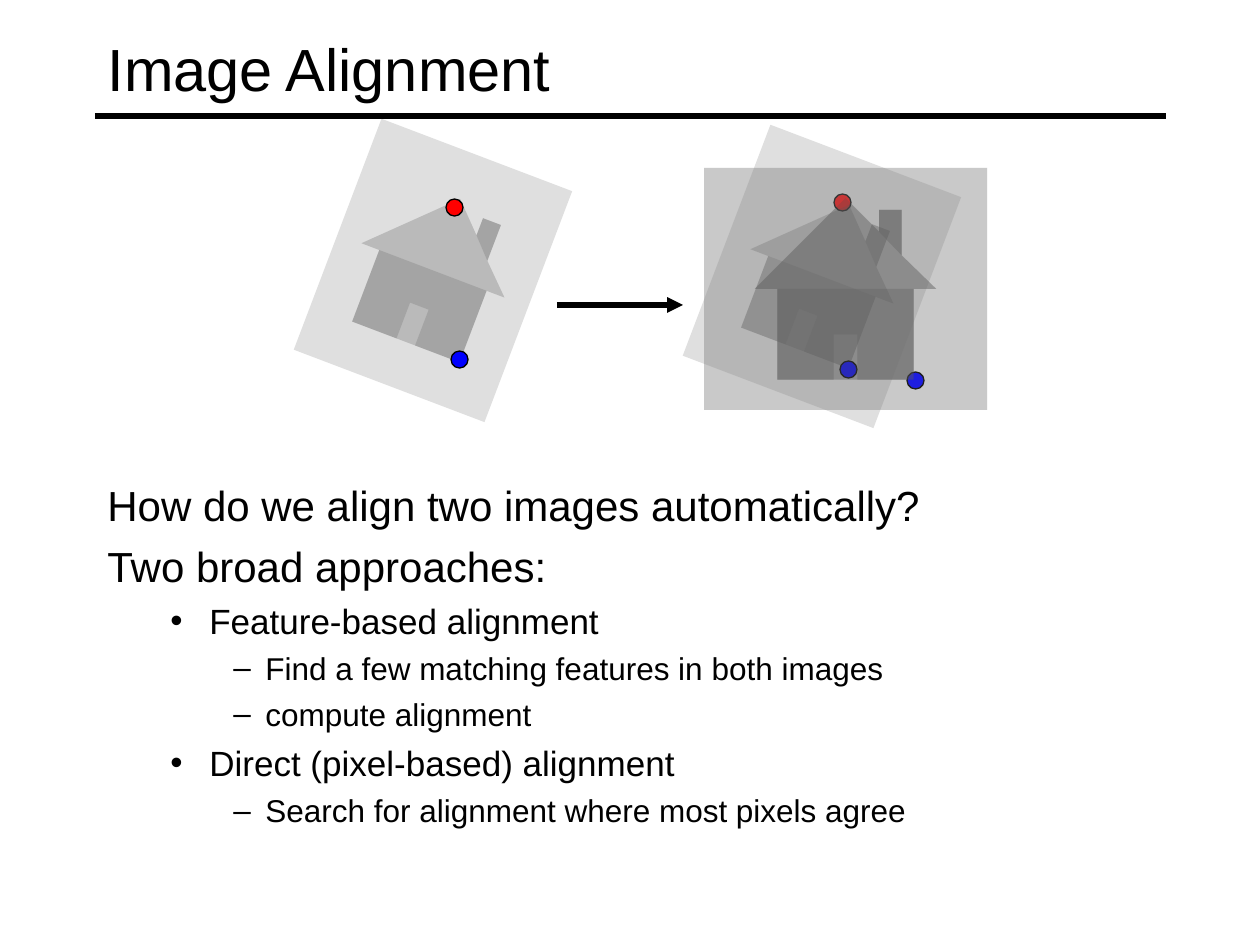
from copy import deepcopy
from dataclasses import dataclass

from lxml.etree import SubElement
from pptx import Presentation
from pptx.dml.color import RGBColor
from pptx.enum.shapes import MSO_CONNECTOR as Connector, MSO_SHAPE as Shape
from pptx.enum.text import MSO_ANCHOR as Anchor, MSO_AUTO_SIZE as AutoSize, PP_ALIGN as Align
from pptx.oxml.ns import qn
from pptx.util import Emu, Pt

PX_PER_INCH = 126
EMU_PER_PX = 914400 / PX_PER_INCH


@dataclass(frozen=True)
class Theme:
    font: str = "Arial"
    ink: str = "000000"
    house: str = "808080"
    red: str = "FF0000"
    blue: str = "0000FF"
    title_size: int = 34
    body_sizes: tuple = (24, 20, 18)
    body_gaps: tuple = (6, 5, 4.5)


THEME = Theme()

# Per level: left margin, hanging indent (px) and bullet
LEVELS = [(48, 48, None), (102, 39, "•"), (158, 32, "–")]
BODY = [
    (0, "How do we align two images automatically?"),
    (0, "Two broad approaches:"),
    (1, "Feature-based alignment"),
    (2, "Find a few matching features in both images"),
    (2, "compute alignment"),
    (1, "Direct (pixel-based) alignment"),
    (2, "Search for alignment where most pixels agree"),
]

# House outlines around its centre, in half-widths of the house, with shading
CHIMNEY = [(0.37, -0.63), (0.37, -0.87), (0.62, -0.87), (0.62, -0.37)]
HOUSE_PARTS = [
    ("darken", [(0, -1), *CHIMNEY, (1, 0), (0.75, 0), (0.75, 1),
                (-0.75, 1), (-0.75, 0), (-1, 0)]),
    ("darkenLess", CHIMNEY),
    ("darkenLess", [(-0.13, 0.5), (0.13, 0.5), (0.13, 1), (0.75, 1), (0.75, 0),
                    (-0.75, 0), (-0.75, 1), (-0.13, 1)]),
]
HOUSE_RATIO = 3 / 8  # house half-width relative to the shorter side


def px(value):
    return Emu(round(value * EMU_PER_PX))


def color(value):
    return RGBColor.from_string(value)


def write(paragraph, text, *, size, level=0, margin=0, hanging=0, bullet=None, before=0):
    """Fill a paragraph and format it."""
    paragraph.alignment = Align.LEFT
    paragraph.level = level
    paragraph.space_before = Pt(before)
    properties = paragraph._p.get_or_add_pPr()
    properties.set("marL", str(px(margin)))
    properties.set("indent", str(-px(hanging)))
    if bullet:
        bullet_color = SubElement(properties, qn("a:buClr"))
        SubElement(bullet_color, qn("a:srgbClr"), val=THEME.ink)
        SubElement(properties, qn("a:buFont"), typeface=THEME.font)
        SubElement(properties, qn("a:buChar"), char=bullet)
    else:
        SubElement(properties, qn("a:buNone"))
    run = paragraph.add_run()
    run.text = text
    run.font.name = THEME.font
    run.font.size = Pt(size)
    run.font.color.rgb = color(THEME.ink)


def add_title(slide, text, left, top, width, height):
    title = slide.shapes.title
    title.left, title.top, title.width, title.height = map(px, (left, top, width, height))
    frame = title.text_frame
    frame.auto_size = AutoSize.NONE
    frame.vertical_anchor = Anchor.MIDDLE
    write(frame.paragraphs[0], text, size=THEME.title_size)


def add_outline(slide, lines, left, top, width, height):
    frame = slide.shapes.add_textbox(*map(px, (left, top, width, height))).text_frame
    frame.word_wrap = True
    for index, (level, text) in enumerate(lines):
        paragraph = frame.add_paragraph() if index else frame.paragraphs[0]
        margin, hanging, bullet = LEVELS[level]
        write(paragraph, text, size=THEME.body_sizes[level], level=level, margin=margin,
              hanging=hanging, bullet=bullet,
              before=THEME.body_gaps[level] if index else 0)


def add_line(slide, start, end, arrow=False):
    line = slide.shapes.add_connector(Connector.STRAIGHT, *map(px, (*start, *end)))
    line.line.color.rgb = color(THEME.ink)
    line.line.width = Pt(3)
    if arrow:
        SubElement(line.element.find(".//" + qn("a:ln")), qn("a:tailEnd"), type="triangle")
    SubElement(line.element.spPr, qn("a:effectLst"))


def add_dot(slide, left, top, fill):
    dot = slide.shapes.add_shape(Shape.OVAL, *map(px, (left, top, 17, 17)))
    dot.shadow.inherit = False
    dot.fill.solid()
    dot.fill.fore_color.rgb = color(fill)
    dot.line.color.rgb = color(THEME.ink)
    dot.line.width = Pt(0.75)


def shade_contours(shape, shades):
    """Give each contour of a freeform its own shading."""
    outline = shape.element.find(".//" + qn("a:path"))
    template = deepcopy(outline)
    for step in list(template):
        template.remove(step)
    parts = []
    for step in list(outline):
        if step.tag == qn("a:moveTo"):
            parts.append(deepcopy(template))
            parts[-1].set("fill", shades[len(parts) - 1])
        parts[-1].append(step)
    holder = outline.getparent()
    holder.remove(outline)
    holder.extend(parts)


def add_house_image(slide, left, top, width, height, opacity, rotation=0):
    """Draw a translucent card with a house in its middle."""
    center_x, center_y = left + width / 2, top + height / 2
    half = HOUSE_RATIO * min(width, height)
    right, bottom = left + width, top + height
    contours = [[(left, top), (right, top), (right, bottom), (left, bottom)]]
    contours += [[(center_x + x * half, center_y + y * half) for x, y in points]
                 for _, points in HOUSE_PARTS]
    builder = slide.shapes.build_freeform(px(left), px(top))
    for index, contour in enumerate(contours):
        first, *rest = [(px(x), px(y)) for x, y in contour]
        if index:
            builder.move_to(*first)
        builder.add_line_segments(rest, close=True)
    image = builder.convert_to_shape()
    shade_contours(image, ["norm"] + [shade for shade, _ in HOUSE_PARTS])
    image.shadow.inherit = False
    image.fill.solid()
    image.fill.fore_color.rgb = color(THEME.house)
    tint = image.element.spPr.find(qn("a:solidFill") + "/" + qn("a:srgbClr"))
    SubElement(tint, qn("a:alpha"), val=str(opacity * 1000))
    image.line.fill.background()
    image.rotation = rotation


def main():
    presentation = Presentation()
    presentation.slide_width, presentation.slide_height = px(1260), px(945)
    slide = presentation.slides.add_slide(presentation.slide_layouts[5])

    # Heading with its rule
    add_line(slide, (95, 116), (1166, 116))
    add_title(slide, "Image Alignment", 95, 10, 1071, 116)
    add_outline(slide, BODY, 95, 473, 1071, 431)

    # Source image, target image and the arrow between them
    upright = (704, 168, 283, 242, 24)
    add_house_image(slide, *upright)
    add_house_image(slide, 331, 147, 204, 247, 25, rotation=20.8)
    add_line(slide, (557, 305), (683, 305), arrow=True)

    # Matching features
    for left, top, fill in [(834, 194, THEME.red), (446, 199, THEME.red),
                            (907, 372, THEME.blue), (451, 351, THEME.blue)]:
        add_dot(slide, left, top, fill)

    # Source image laid over the target
    add_house_image(slide, 720, 153, 204, 247, 25, rotation=20.8)
    add_dot(slide, 840, 361, THEME.blue)
    add_house_image(slide, *upright)

    presentation.save("out.pptx")


if __name__ == "__main__":
    main()
